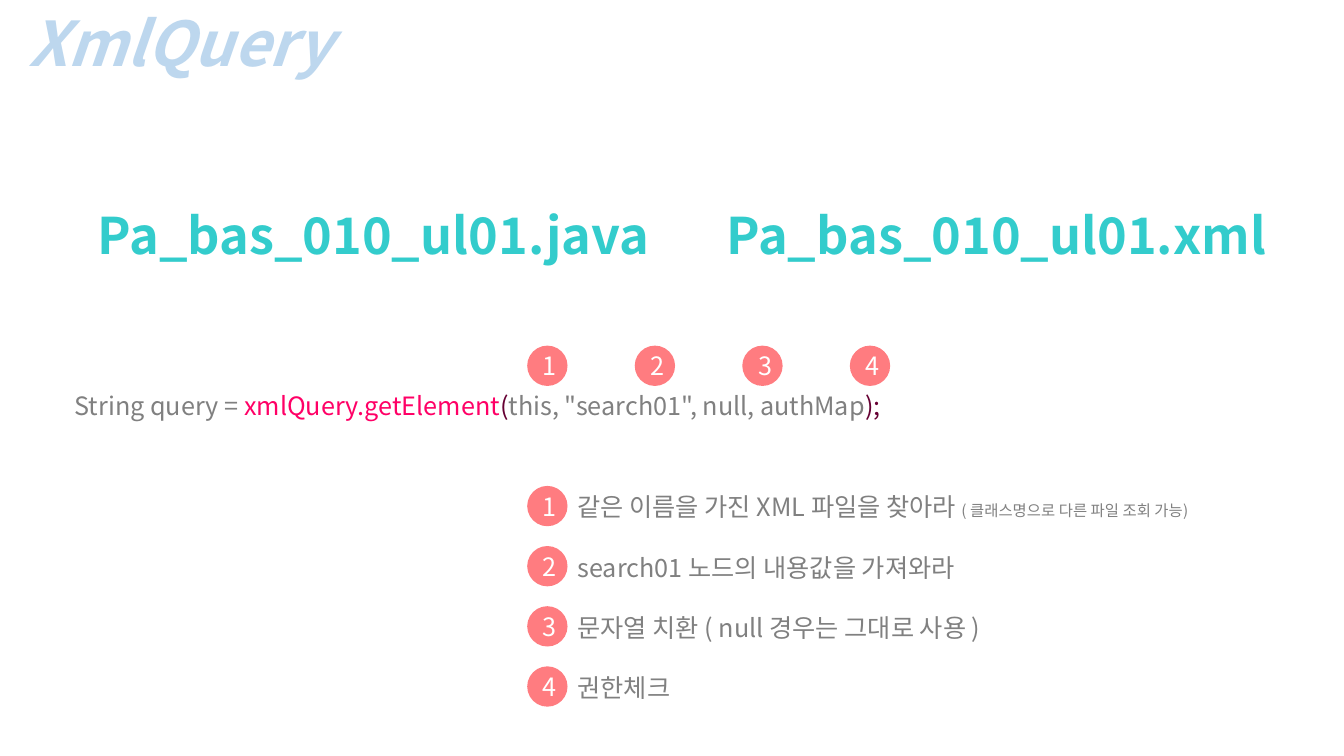
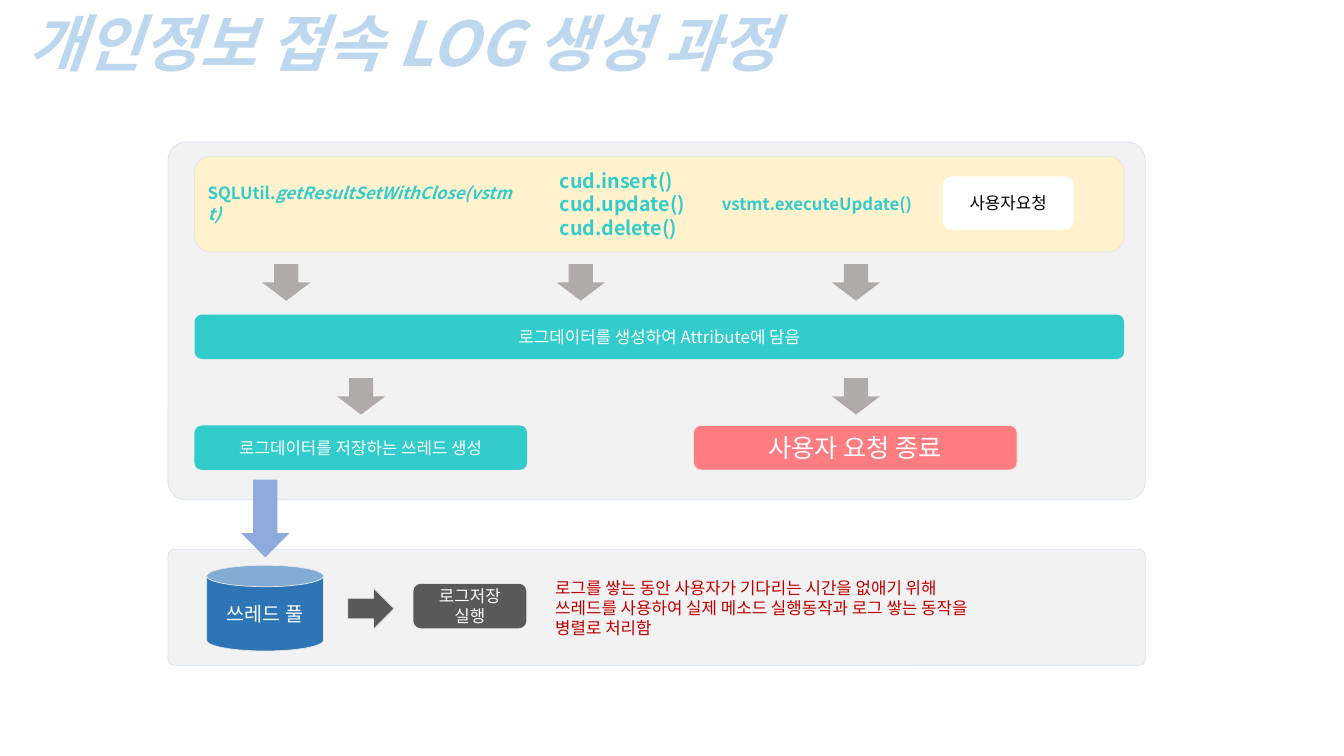
from lxml import etree
from pptx import Presentation
from pptx.dml.color import RGBColor
from pptx.enum.shapes import MSO_SHAPE
from pptx.enum.text import MSO_ANCHOR, MSO_AUTO_SIZE, PP_ALIGN
from pptx.oxml.ns import qn
from pptx.util import Inches, Pt

ROUNDED = MSO_SHAPE.ROUNDED_RECTANGLE
OVAL = MSO_SHAPE.OVAL
CAN = MSO_SHAPE.CAN
DOWN_ARROW = MSO_SHAPE.DOWN_ARROW
RIGHT_ARROW = MSO_SHAPE.RIGHT_ARROW
LEFT, CENTER = PP_ALIGN.LEFT, PP_ALIGN.CENTER
TOP, MIDDLE = MSO_ANCHOR.TOP, MSO_ANCHOR.MIDDLE

FONT = "Noto Sans CJK KR"
TITLE_BLUE, TEAL, CORAL = "BDD7EE", "33CCCC", "FF7C80"
GREY, DARK_GREY, ARROW_GREY, PANEL_GREY = "808080", "595959", "AFABAB", "F2F2F2"
PANEL_LINE, BOX_LINE = "DAE3F3", "E7E6E6"
PINK, PLUM, RED, CREAM = "FF0066", "660033", "C00000", "FFF2CC"
BLUE, LIGHT_BLUE, WHITE, BLACK = "2E75B6", "8FAADC", "FFFFFF", "000000"

# The slide is a grid of 160 columns and 90 rows with square cells
presentation = Presentation()
presentation.slide_width, presentation.slide_height = Inches(13.33), Inches(7.5)
CELL = presentation.slide_height / 90


def add_box(slide, kind, cells, fill=None, line=None, corner=None):
    """Add a preset shape, or a text box when kind is None."""
    frame = [round(value * CELL) for value in cells]
    if kind is None:
        return slide.shapes.add_textbox(*frame)
    shape = slide.shapes.add_shape(kind, *frame)
    shape.shadow.inherit = False
    if corner is not None:
        shape.adjustments[0] = corner
    if fill:
        shape.fill.solid()
        shape.fill.fore_color.rgb = RGBColor.from_string(fill)
    else:
        shape.fill.background()
    if line:
        shape.line.color.rgb = RGBColor.from_string(line)
        shape.line.width = Pt(0.5)
    else:
        shape.line.fill.background()
    return shape


def write_text(shape, *paragraphs, size=12, color=WHITE, bold=False, italic=False,
               align=CENTER, anchor=MIDDLE, wrap=True, gap=0):
    """Write paragraphs: a string, or a list of (text, changed formats) runs."""
    frame = shape.text_frame
    frame.auto_size = MSO_AUTO_SIZE.NONE
    frame.word_wrap = wrap
    frame.vertical_anchor = anchor
    for index, runs in enumerate(paragraphs):
        paragraph = frame.paragraphs[0] if index == 0 else frame.add_paragraph()
        paragraph.alignment = align
        paragraph.space_before = Pt(gap if index else 0)
        for text, changes in [(runs, {})] if isinstance(runs, str) else runs:
            run = paragraph.add_run()
            run.text = text
            font = run.font
            font.name = FONT
            font.size = Pt(changes.get("size", size))
            font.bold = changes.get("bold", bold)
            font.italic = changes.get("italic", italic)
            font.color.rgb = RGBColor.from_string(changes.get("color", color))
            east_asian = etree.SubElement(run._r.get_or_add_rPr(), qn("a:ea"))
            east_asian.set("typeface", FONT)


# Slides and their titles
slides = []
for title_text in ["XmlQuery", "개인정보 접속 LOG 생성 과정"]:
    slide = presentation.slides.add_slide(presentation.slide_layouts[5])
    title = slide.shapes.title
    title.left, title.top, title.width, title.height = [
        round(value * CELL) for value in (2.25, 0, 104, 10)]
    write_text(title, title_text, size=44, color=TITLE_BLUE, bold=True, italic=True,
               align=LEFT, anchor=TOP, wrap=False)
    slides.append(slide)
query_slide, log_slide = slides

# Query slide: file names
for left, file_name in [(10.45, "Pa_bas_010_ul01.java"), (85.3, "Pa_bas_010_ul01.xml")]:
    heading = add_box(query_slide, None, (left, 23.75, 69, 8.5))
    write_text(heading, file_name, size=36, color=TEAL, bold=True,
               align=LEFT, anchor=TOP, wrap=False)

# Query slide: call and explanation of its arguments
code = add_box(query_slide, None, (7.7, 45.85, 133.5, 4.8))
write_text(code, [("String query = ", {}), ("xmlQuery.getElement", {"color": PINK}),
                  ("(", {"color": PLUM}), ('this, "search01", null, authMap', {}),
                  (");", {"color": PLUM})],
           size=18, color=GREY, align=LEFT, anchor=TOP)
explanation = add_box(query_slide, None, (67.55, 57.95, 84.6, 26.65))
write_text(explanation,
           [("같은 이름을 가진 XML 파일을 찾아라 ", {}),
            ("( 클래스명으로 다른 파일 조회 가능)", {"size": 11})],
           "search01 노드의 내용값을 가져와라",
           "문자열 치환 ( null 경우는 그대로 사용 )",
           "권한체크",
           size=18, color=GREY, align=LEFT, anchor=TOP, wrap=False, gap=21.5)

# Query slide: numbered badges above the call and beside the explanation
for left, top, step_x, step_y in [(62.75, 41.15, 12.8, 0), (62.75, 57.85, 0, 7.16)]:
    for index in range(4):
        badge = add_box(query_slide, OVAL,
                        (left + index * step_x, top + index * step_y, 4.8, 4.8), CORAL)
        write_text(badge, str(index + 1), size=18)

# Log slide: panels and the band of calls
INNER_LEFT, INNER_WIDTH, BAR_HEIGHT = 23.15, 110.65, 5.3
for top, height in [(65.4, 13.8), (16.9, 42.6)]:
    add_box(log_slide, ROUNDED, (20, top, 116.3, height), PANEL_GREY, PANEL_LINE, 0.05)
add_box(log_slide, ROUNDED, (INNER_LEFT, 18.6, INNER_WIDTH, 11.4), CREAM, BOX_LINE)

# Log slide: calls
calls = [
    ((INNER_LEFT, 20.3, 40.1, 7.8), 12,
     [[("SQLUtil.", {}), ("getResultSetWithClose(vstmt)", {"italic": True})]]),
    ((64.9, 18.6, 18.6, 11.4), 14, ["cud.insert()", "cud.update()", "cud.delete()"]),
    ((84.35, 20.4, 26.65, 7.8), 12, ["vstmt.executeUpdate()"]),
]
for cells, size, lines in calls:
    write_text(add_box(log_slide, ROUNDED, cells), *lines,
               size=size, color=TEAL, bold=True, align=LEFT)

# Log slide: steps
steps = [
    (ROUNDED, (112.2, 21, 15.6, 6.35), WHITE, None, "사용자요청", 12, BLACK),
    (ROUNDED, (INNER_LEFT, 37.45, INNER_WIDTH, BAR_HEIGHT), TEAL, None,
     "로그데이터를 생성하여 Attribute에 담음", 12, WHITE),
    (ROUNDED, (INNER_LEFT, 50.65, 39.6, BAR_HEIGHT), TEAL, None,
     "로그데이터를 저장하는 쓰레드 생성", 12, WHITE),
    (ROUNDED, (82.55, 50.65, 38.5, BAR_HEIGHT), CORAL, BOX_LINE, "사용자 요청 종료", 18, WHITE),
    (CAN, (24.6, 67.3, 13.9, 10.2), BLUE, BOX_LINE, "쓰레드 풀", 14, WHITE),
    (ROUNDED, (49.2, 69.5, 13.45, BAR_HEIGHT), DARK_GREY, None, "로그저장 실행", 12, WHITE),
]
for kind, cells, fill, line, text, size, color in steps:
    write_text(add_box(log_slide, kind, cells, fill, line), text, size=size, color=color)

# Log slide: arrows
for top, lefts in [(31.45, (31.2, 66.25, 99)), (45, (40.1, 99))]:
    for left in lefts:
        add_box(log_slide, DOWN_ARROW, (left, top, 5.75, 4.35), ARROW_GREY)
add_box(log_slide, DOWN_ARROW, (28.7, 57.1, 5.75, 9.25), LIGHT_BLUE)
add_box(log_slide, RIGHT_ARROW, (41.4, 70, 5.5, 4.9), DARK_GREY, BOX_LINE)

# Log slide: note
note = add_box(log_slide, None, (64.9, 68.15, 58.7, 8.5))
write_text(note, "로그를 쌓는 동안 사용자가 기다리는 시간을 없애기 위해",
           "쓰레드를 사용하여 실제 메소드 실행동작과 로그 쌓는 동작을",
           "병렬로 처리함", color=RED, align=LEFT, anchor=TOP, wrap=False)

presentation.save("out.pptx")
